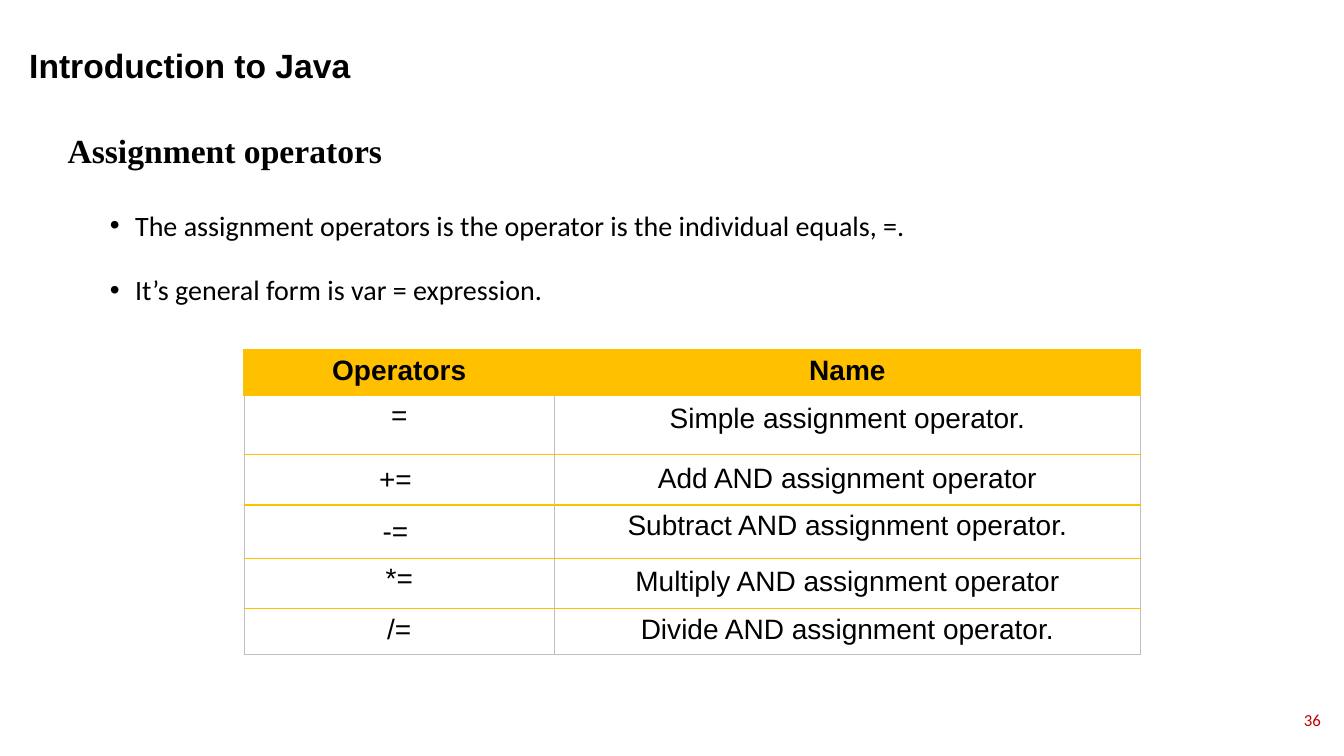
from lxml.etree import SubElement
from pptx import Presentation
from pptx.dml.color import RGBColor
from pptx.enum.text import MSO_ANCHOR, MSO_AUTO_SIZE, PP_ALIGN
from pptx.oxml.ns import qn
from pptx.util import Pt

PX = 9144
GOLD, GREY, BLACK, RED = "FFC000", "BFBFBF", "000000", "C00000"
LEFT, MID, RIGHT = PP_ALIGN.LEFT, PP_ALIGN.CENTER, PP_ALIGN.RIGHT
TOP, CENTRE = MSO_ANCHOR.TOP, MSO_ANCHOR.MIDDLE


def hue(code):
    return RGBColor.from_string(code)


def write(frame, lines, look, tint=BLACK, align=LEFT):
    frame.text = "\n".join(lines)
    for para in frame.paragraphs:
        para.alignment = align
        font = para.runs[0].font
        for name, value in look.items():
            setattr(font, name, value)
        font.color.rgb = hue(tint)


deck = Presentation()
deck.slide_width, deck.slide_height = 1333 * PX, 750 * PX
slide = deck.slides.add_slide(deck.slide_layouts[1])
title, body = slide.shapes.title, slide.placeholders[1]
topic = slide.shapes.add_textbox(0, 0, PX, PX)
number = slide.shapes.add_textbox(0, 0, PX, PX)

head = {"name": "Arial", "size": Pt(24), "bold": True}
sub = {"name": "Times New Roman", "size": Pt(24), "bold": True}
text = {"name": "Calibri", "size": Pt(20), "bold": False}
small = {"name": "Calibri", "size": Pt(12), "bold": False}
points = [
    "The assignment operators is the operator is the individual equals, =.",
    "It’s general form is var = expression.",
]
blocks = [
    (title, (23, 40, 1121, 50), ["Introduction to Java"], head, BLACK, LEFT, TOP, (0, 1)),
    (topic, (23, 124, 1294, 50), ["Assignment operators"], sub, BLACK, LEFT, TOP, (0, 39)),
    (body, (104, 185, 1197, 537), points, text, BLACK, LEFT, TOP, (25, -25)),
    (number, (1286, 700, 29, 29), ["36"], small, RED, RIGHT, CENTRE, (0, 0)),
]
for shape, box, lines, look, tint, align, anchor, indent in blocks:
    for side, size in zip(("left", "top", "width", "height"), box):
        setattr(shape, side, size * PX)
    frame = shape.text_frame
    layout = {"word_wrap": True, "auto_size": MSO_AUTO_SIZE.NONE, "vertical_anchor": anchor}
    for side in ("left", "top", "right", "bottom"):
        layout["margin_" + side] = 5 * PX
    for name, value in layout.items():
        setattr(frame, name, value)
    write(frame, lines, look, tint, align)
    for para in frame.paragraphs:
        props = para._p.get_or_add_pPr()
        for name, size in zip(("marL", "indent"), indent):
            props.set(name, str(size * PX))

for para, gap in zip(body.text_frame.paragraphs, (0, 10)):
    para.line_spacing = 1.5
    para.space_before = Pt(gap)

rows = [
    (45, ("Operators", 5, TOP), ("Name", 5, TOP)),
    (59, ("=", 5, TOP), ("Simple assignment operator.", 8, TOP)),
    (50, ("+= ", 8, CENTRE), ("Add AND assignment operator", 8, TOP)),
    (53, ("-= ", 8, CENTRE), ("Subtract AND assignment operator.", 5, TOP)),
    (50, ("*=", 5, TOP), ("Multiply AND assignment operator", 8, TOP)),
    (45, ("/=", 5, TOP), ("Divide AND assignment operator.", 5, TOP)),
]
last = len(rows) - 1
table = slide.shapes.add_table(len(rows), 2, 242 * PX, 347 * PX, 889 * PX, 302 * PX).table
table.first_row = table.horz_banding = False
for col, wide in zip(table.columns, (308, 581)):
    col.width = wide * PX

for i, (high, *cells) in enumerate(rows):
    table.rows[i].height = high * PX
    for j, (words, pad, anchor) in enumerate(cells):
        cell = table.cell(i, j)
        cell.vertical_anchor = anchor
        for side in ("left", "top", "right", "bottom"):
            setattr(cell, "margin_" + side, pad * PX)
        look = {"name": "Arial", "size": Pt(20), "bold": i == 0}
        write(cell.text_frame, [words], look, align=MID)
        props = cell._tc.get_or_add_tcPr()
        for edge in ("lnL", "lnR", "lnT", "lnB"):
            plain = i > 0 and (edge in ("lnL", "lnR") or (edge == "lnB" and i == last))
            tint, wide = (GREY, 0.5) if plain else (GOLD, 1)
            line = SubElement(props, qn("a:" + edge), w=str(Pt(wide)))
            fill = SubElement(line, qn("a:solidFill"))
            SubElement(fill, qn("a:srgbClr"), val=tint)
        if i == 0:
            cell.fill.solid()
            cell.fill.fore_color.rgb = hue(GOLD)
        else:
            cell.fill.background()

deck.save("out.pptx")
